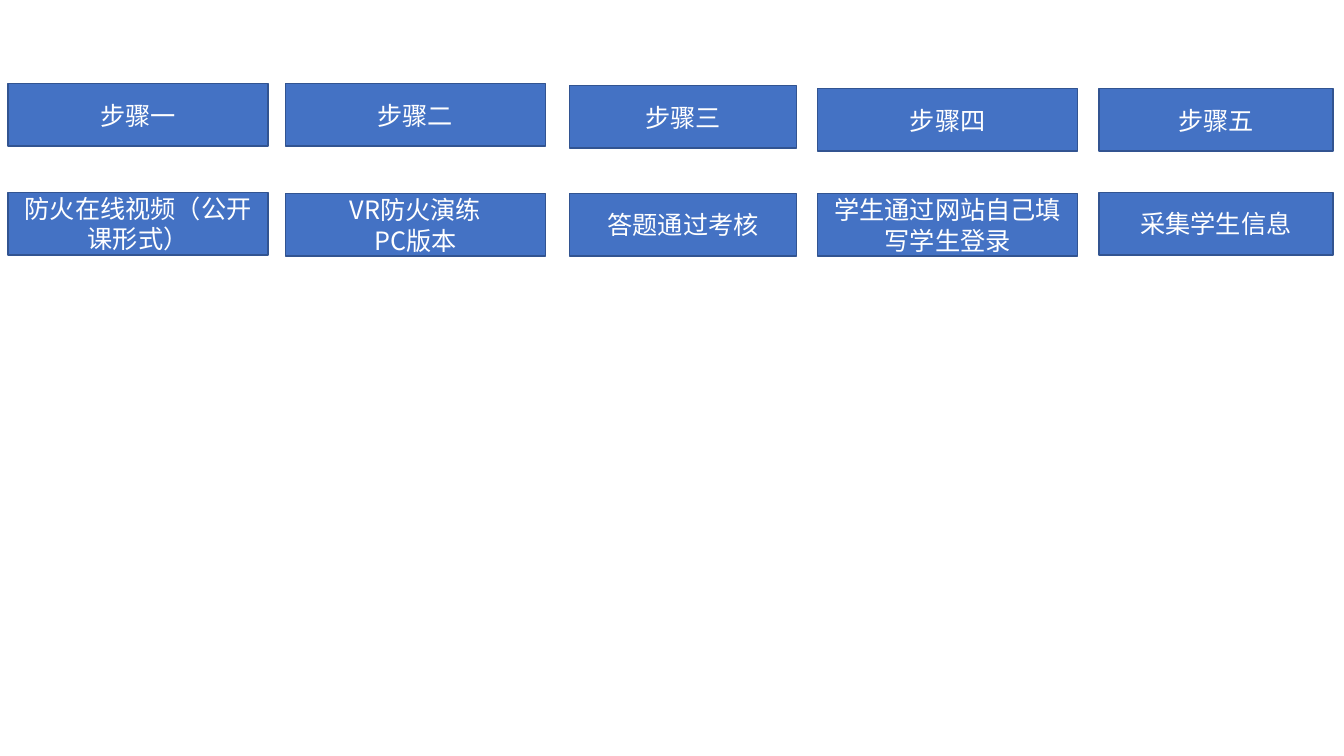
import pptx
import pptx.dml.color
import pptx.enum.shapes
import pptx.enum.text
import pptx.oxml.ns
import pptx.util
from lxml import etree

BLUE = pptx.dml.color.RGBColor(0x44, 0x72, 0xC4)
DARK_BLUE = pptx.dml.color.RGBColor(0x32, 0x54, 0x91)
WHITE = pptx.dml.color.RGBColor(0xFF, 0xFF, 0xFF)
FONT = "Noto Sans CJK SC"
BOX_HEIGHT = 0.62

# Each column: left, width, top of the step, top of the task, step, task
COLUMNS = [
    (0.08, 2.58, 0.83, 1.91, "步骤一", "防火在线视频（公开课形式）"),
    (2.83, 2.58, 0.83, 1.92, "步骤二", "VR防火演练\nPC版本"),
    (5.65, 2.25, 0.85, 1.92, "步骤三", "答题通过考核"),
    (8.11, 2.58, 0.88, 1.92, "步骤四", "学生通过网站自己填写学生登录"),
    (10.9, 2.32, 0.88, 1.91, "步骤五", "采集学生信息"),
]

presentation = pptx.Presentation()
presentation.slide_width = pptx.util.Inches(13.33)
presentation.slide_height = pptx.util.Inches(7.5)
slide = presentation.slides.add_slide(presentation.slide_layouts[6])


def add_box(left, top, width, text):
    shape = slide.shapes.add_shape(
        pptx.enum.shapes.MSO_SHAPE.RECTANGLE,
        *(pptx.util.Inches(length) for length in (left, top, width, BOX_HEIGHT)))
    shape.shadow.inherit = False
    shape.fill.solid()
    shape.fill.fore_color.rgb = BLUE
    shape.line.color.rgb = DARK_BLUE
    shape.line.width = pptx.util.Pt(1)

    text_frame = shape.text_frame
    text_frame.word_wrap = True
    text_frame.vertical_anchor = pptx.enum.text.MSO_ANCHOR.MIDDLE
    text_frame.text = text
    for paragraph in text_frame.paragraphs:
        paragraph.alignment = pptx.enum.text.PP_ALIGN.CENTER
        for run in paragraph.runs:
            run.font.size = pptx.util.Pt(18)
            run.font.color.rgb = WHITE
            run.font.name = FONT
            # Chinese characters take their font from a:ea
            etree.SubElement(run.font._element, pptx.oxml.ns.qn("a:ea"), typeface=FONT)


for left, width, step_top, task_top, step, task in COLUMNS:
    add_box(left, step_top, width, step)
    add_box(left, task_top, width, task)

presentation.save("out.pptx")
